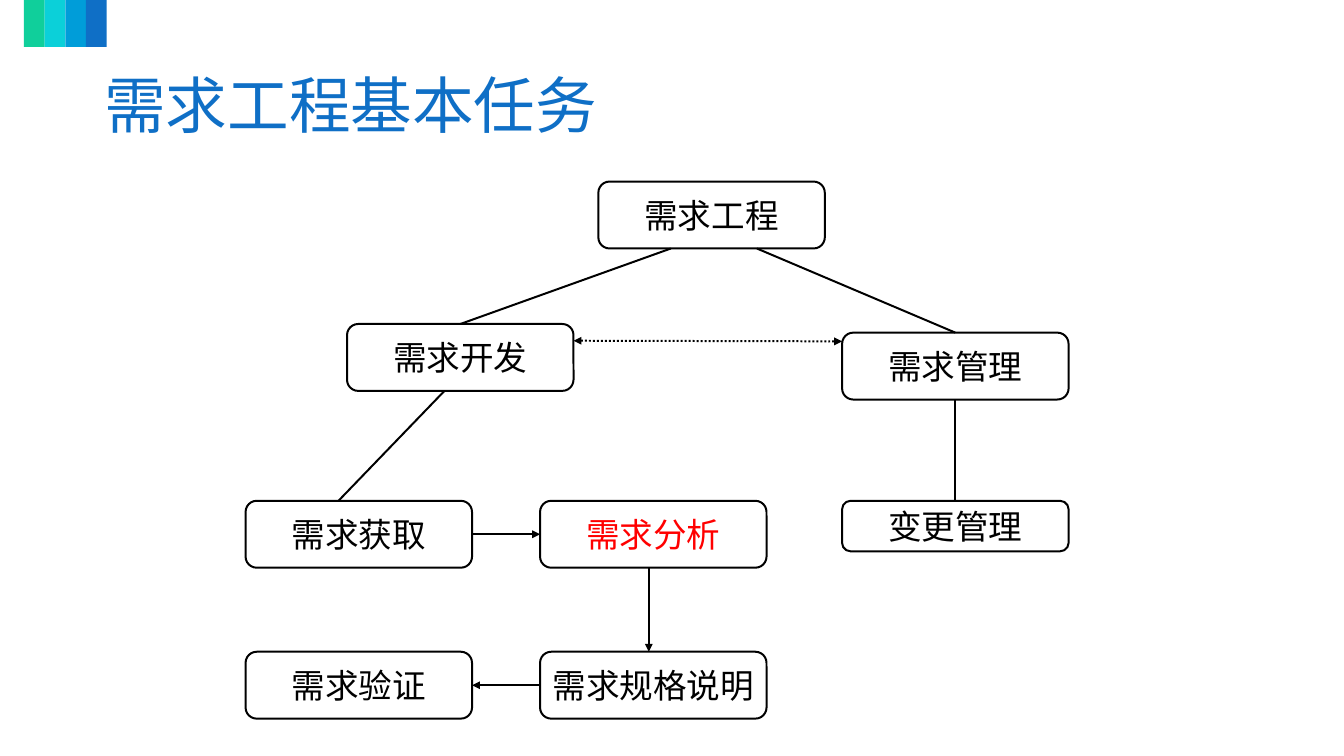
"""Build the slide on the basic tasks of requirements engineering."""
from dataclasses import dataclass

from lxml import etree
from pptx import Presentation
from pptx.dml.color import RGBColor
from pptx.enum import dml, shapes, text
from pptx.oxml import ns
from pptx.util import Pt

BLACK, RED, BLUE = "000000", "FF0000", "0F6FC6"
CJK_FONT = "Noto Sans CJK SC"
STRIPE_COLOURS = ("10CF9B", "0BD0D9", "009DD9", BLUE)
BOX_WIDTH, BOX_HEIGHT = 170.6, 50.4
LEFT, MIDDLE, RIGHT = 185, 406.8, 634.3
TASK_ROW, RESULT_ROW = 377.3, 491


@dataclass(frozen=True)
class Node:
    """A labelled rounded box, in points."""
    label: str
    left: float
    top: float
    height: float = BOX_HEIGHT
    colour: str = BLACK

    def at(self, across: float, down: float) -> tuple[float, float]:
        """Return the point at the given fractions of the box."""
        return self.left + across * BOX_WIDTH, self.top + down * self.height


@dataclass(frozen=True)
class Link:
    """A line between two points, with optional arrowheads."""
    start: tuple[float, float]
    end: tuple[float, float]
    arrows: tuple[str, ...] = ()
    dotted: bool = False


ENGINEERING = Node("需求工程", 450.7, 136.8)
DEVELOPMENT = Node("需求开发", 261.4, 244.1)
MANAGEMENT = Node("需求管理", RIGHT, 250.6)
ELICITATION = Node("需求获取", LEFT, TASK_ROW)
ANALYSIS = Node("需求分析", MIDDLE, TASK_ROW, colour=RED)
SPECIFICATION = Node("需求规格说明", MIDDLE, RESULT_ROW)
VALIDATION = Node("需求验证", LEFT, RESULT_ROW)
CHANGE = Node("变更管理", RIGHT, TASK_ROW, height=38)

NODES = (ENGINEERING, MANAGEMENT, DEVELOPMENT, ELICITATION, ANALYSIS,
         SPECIFICATION, VALIDATION, CHANGE)
FORWARD, BOTH = ("tailEnd",), ("headEnd", "tailEnd")
LINKS = (
    Link(ENGINEERING.at(0.32, 1), DEVELOPMENT.at(0.5, 0)),
    Link(ENGINEERING.at(0.7, 1), MANAGEMENT.at(0.5, 0)),
    Link(DEVELOPMENT.at(0.43, 1), ELICITATION.at(0.41, 0)),
    Link(ELICITATION.at(1, 0.5), ANALYSIS.at(0, 0.5), FORWARD),
    Link(ANALYSIS.at(0.48, 1), SPECIFICATION.at(0.48, 0), FORWARD),
    Link(SPECIFICATION.at(0, 0.5), VALIDATION.at(1, 0.5), FORWARD),
    Link(MANAGEMENT.at(0.5, 1), CHANGE.at(0.5, 0)),
    Link(DEVELOPMENT.at(1, 0.25), MANAGEMENT.at(0, 0.13), BOTH, dotted=True),
)


def colour_of(value: str) -> RGBColor:
    """Turn a hex string into a colour."""
    return RGBColor.from_string(value)


def apply(target: object, values: dict) -> None:
    """Set every attribute named in the dict."""
    for name, value in values.items():
        setattr(target, name, value)


def write(shape, words: str, size: float, font: str, colour: str, align, frame: dict) -> None:
    """Put one formatted paragraph into a shape."""
    apply(shape.text_frame, frame)
    para = shape.text_frame.paragraphs[0]
    para.alignment = align
    span = para.add_run()
    span.text = words
    apply(span.font, {"size": Pt(size), "name": font})
    span.font.color.rgb = colour_of(colour)
    east_asian = etree.SubElement(span.font._element, ns.qn("a:ea"))
    east_asian.set("typeface", CJK_FONT)


def add_title(page, words: str) -> None:
    """Place and fill the title placeholder."""
    title = page.shapes.title
    apply(title, {"left": Pt(78.5), "top": Pt(36.7), "width": Pt(620), "height": Pt(69.1)})
    write(title, words, 46.4, CJK_FONT, BLUE, text.PP_ALIGN.LEFT, {
        "vertical_anchor": text.MSO_ANCHOR.BOTTOM, "auto_size": text.MSO_AUTO_SIZE.NONE,
        "margin_left": 0, "margin_right": 0, "margin_top": Pt(3.6), "margin_bottom": 0})


def add_stripes(page, left: float = 18, width: float = 15.6, height: float = 35.3) -> None:
    """Draw the coloured stripes side by side at the top edge."""
    for index, colour in enumerate(STRIPE_COLOURS):
        stripe = page.shapes.add_shape(shapes.MSO_SHAPE.RECTANGLE, Pt(left + index * width), 0,
                                       Pt(width), Pt(height))
        stripe.shadow.inherit = False
        stripe.fill.solid()
        stripe.fill.fore_color.rgb = colour_of(colour)
        stripe.line.fill.background()


def set_line(line) -> None:
    """Make a line black and 1.5 points wide."""
    line.color.rgb = colour_of(BLACK)
    line.width = Pt(1.5)


def add_node(page, node: Node) -> None:
    """Draw one rounded box with its label."""
    box = page.shapes.add_shape(shapes.MSO_SHAPE.ROUNDED_RECTANGLE, Pt(node.left), Pt(node.top),
                                Pt(BOX_WIDTH), Pt(node.height))
    box.shadow.inherit = False
    box.fill.background()
    set_line(box.line)
    write(box, node.label, 25.3, "Arial", node.colour, text.PP_ALIGN.CENTER,
          {"vertical_anchor": text.MSO_ANCHOR.MIDDLE, "word_wrap": False})


def add_link(page, link: Link) -> None:
    """Draw one connector with its arrowheads."""
    connector = page.shapes.add_connector(shapes.MSO_CONNECTOR.STRAIGHT,
                                          *(Pt(value) for value in link.start + link.end))
    set_line(connector.line)
    if link.dotted:
        connector.line.dash_style = dml.MSO_LINE.ROUND_DOT
    outline = connector.line._get_or_add_ln()
    for arrow in link.arrows:
        etree.SubElement(outline, ns.qn(f"a:{arrow}")).set("type", "triangle")
    etree.SubElement(connector._element.spPr, ns.qn("a:effectLst"))


def main() -> None:
    """Build and save the deck."""
    deck = Presentation()
    apply(deck, {"slide_width": Pt(1012.3), "slide_height": Pt(569.5)})
    page = deck.slides.add_slide(deck.slide_layouts[5])
    add_stripes(page)
    add_title(page, "需求工程基本任务")
    for node in NODES:
        add_node(page, node)
    for link in LINKS:
        add_link(page, link)
    deck.save("out.pptx")


main()
